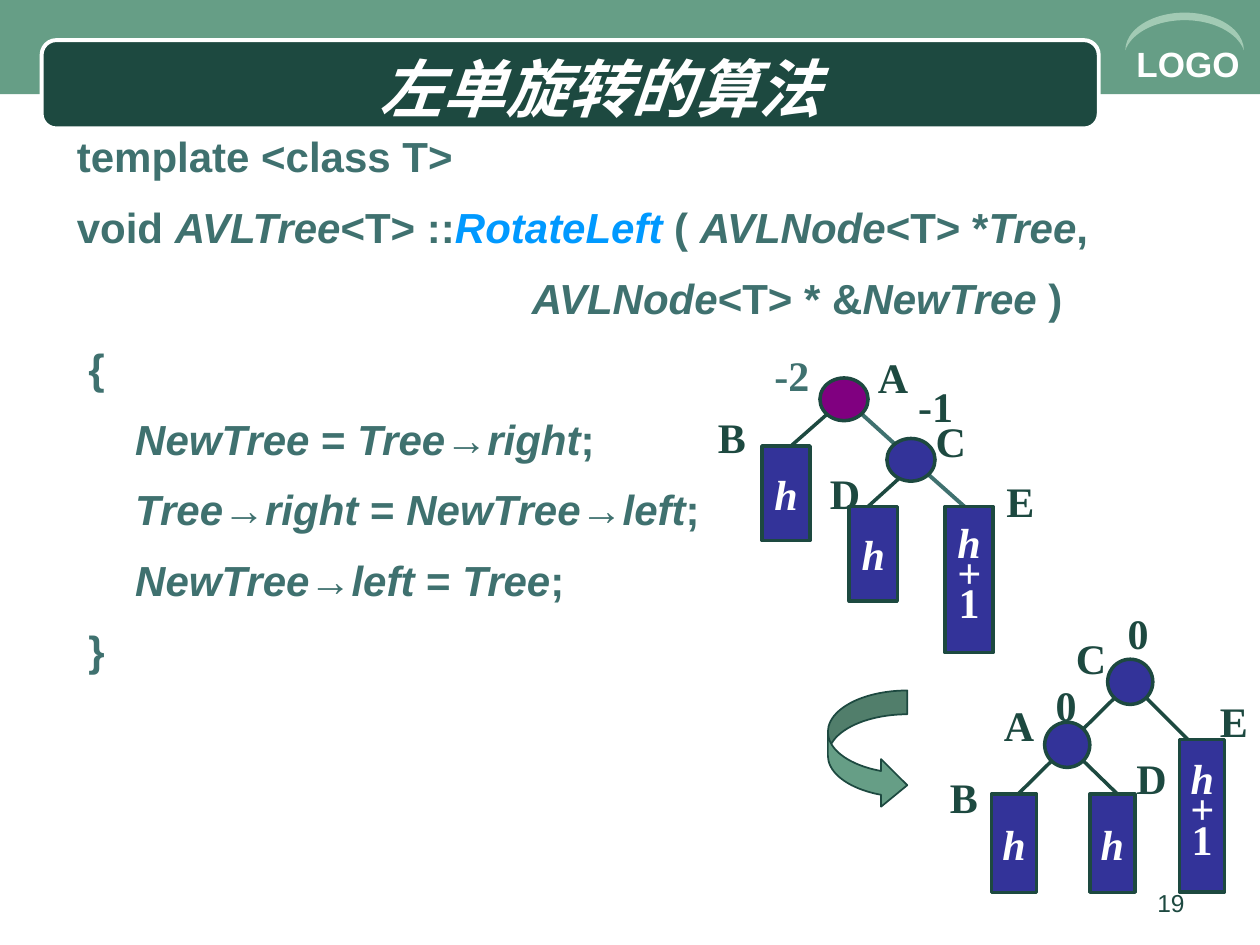
import pptx
import pptx.util
import pptx.dml.color
import pptx.enum.shapes
import pptx.enum.text
import pptx.oxml.ns
import lxml.etree

Cm = pptx.util.Cm
Pt = pptx.util.Pt
SHAPE = pptx.enum.shapes.MSO_SHAPE
ALIGN = pptx.enum.text.PP_ALIGN
ANCHOR = pptx.enum.text.MSO_ANCHOR

COLOURS = {
    "band": "669E86", "dark": "1D4940", "teal": "3F716F", "white": "FFFFFF",
    "crescent": "A2CAB4", "blue": "0099FF", "node": "333399", "root": "800080",
}
SERIF = "Times New Roman"
LABEL_WIDTHS = {"A": 1.12, "B": 1.07, "C": 1.12, "D": 1.12, "E": 1.07,
                "0": 0.91, "-1": 1.22, "-2": 1.22}

# Code lines: every second piece between bars is italic
CODE = [
    "template <class T>",
    "void |AVLTree|<T> ::|RotateLeft |( |AVLNode|<T> *|Tree|,",
    "                                       |AVLNode|<T> * &|NewTree| )",
    " {",
    "     |NewTree| = |Tree|→|right|;",
    "     |Tree|→|right| = |NewTree|→|left|;",
    "     |NewTree|→|left| = |Tree|;",
    " }",
]

# Tree parts in cm from the tree's own corner
BEFORE = {
    "node_size": (0.97, 0.86),
    "edges": [(4.24, 2.41, 5.41, 3.45, "teal"), (4.24, 2.41, 3.28, 3.28, "dark"),
              (2.51, 1.37, 1.52, 2.24, "dark"), (2.9, 1.19, 4.06, 2.24, "teal")],
    "nodes": [(3.66, 1.91, "node"), (2.31, 0.69, "root")],
    "subtrees": [(2.9, 3.28, 1.91, "h"), (1.14, 2.06, 1.91, "h"),
                 (4.83, 3.28, 2.95, "h+1")],
    "labels": [("B", 0, 1.24, "dark"), ("A", 3.23, 0.03, "dark"),
               ("C", 4.39, 1.32, "dark"), ("E", 5.82, 2.54, "dark"),
               ("D", 2.26, 2.36, "dark"), ("-2", 1.14, 0, "teal"),
               ("-1", 4.04, 0.61, "dark")],
}
AFTER = {
    "node_size": (0.91, 0.91),
    "edges": [(3.99, 1.73, 5.05, 2.79, "dark"), (3.61, 1.91, 2.72, 2.79, "dark"),
              (2.34, 3.18, 1.45, 4.06, "dark"), (2.9, 3.18, 3.99, 4.24, "dark")],
    "nodes": [(2.16, 2.44, "node"), (3.43, 1.17, "node")],
    "subtrees": [(1.09, 3.89, 1.98, "h"), (3.07, 3.89, 1.98, "h"),
                 (4.88, 2.79, 3.07, "h+1")],
    "labels": [("C", 2.54, 0.51, "dark"), ("E", 5.44, 1.78, "dark"),
               ("A", 1.09, 1.85, "dark"), ("B", 0, 3.3, "dark"),
               ("D", 3.76, 2.92, "dark"), ("0", 2.13, 1.45, "dark"),
               ("0", 3.58, 0, "dark")],
}


def rgb(name):
    return pptx.dml.color.RGBColor.from_string(COLOURS[name])


def add_span(para, text, size, colour, font="Arial", bold=True, italic=False):
    span = para.add_run()
    span.text = text
    span.font.name, span.font.size = font, Pt(size)
    span.font.bold, span.font.italic = bold, italic
    span.font.color.rgb = rgb(colour)
    return span


def add_text_box(shapes, left, top, width, height, wrap=True):
    box = shapes.add_textbox(Cm(left), Cm(top), Cm(width), Cm(height))
    box.text_frame.word_wrap = wrap
    return box.text_frame


def add_shape(shapes, kind, left, top, width, height, fill, line=None, weight=2):
    shape = shapes.add_shape(kind, Cm(left), Cm(top), Cm(width), Cm(height))
    shape.shadow.inherit = False
    shape.fill.solid()
    shape.fill.fore_color.rgb = rgb(fill)
    if line:
        shape.line.color.rgb = rgb(line)
        shape.line.width = Pt(weight)
    else:
        shape.line.fill.background()
    return shape


def add_edge(shapes, x1, y1, x2, y2, colour):
    edge = shapes.add_connector(pptx.enum.shapes.MSO_CONNECTOR.STRAIGHT,
                                Cm(x1), Cm(y1), Cm(x2), Cm(y2))
    edge.line.color.rgb = rgb(colour)
    edge.line.width = Pt(2.25 if colour == "teal" else 2)
    lxml.etree.SubElement(edge._element.spPr, pptx.oxml.ns.qn("a:effectLst"))


def add_header(page, left, top, width):
    shapes = page.shapes
    add_shape(shapes, SHAPE.RECTANGLE, left, top, width, 1.9, "band")
    add_shape(shapes, SHAPE.ROUNDED_RECTANGLE, left + 0.84, top + 0.81, 21.31, 1.78,
              "dark", "white", 2.25)
    # Corner mark
    frame = add_text_box(shapes, left + 22.66, top + 0.74, 2.74, 1.12)
    add_span(frame.paragraphs[0], "LOGO", 20, "white")
    crescent = add_shape(shapes, SHAPE.MOON, left + 23.5, top - 0.56, 0.76, 2.39,
                         "crescent")
    crescent.rotation = 90
    crescent.adjustments[0] = 0.2
    # Title
    frame = add_text_box(shapes, left + 1.3, top + 0.53, 21.59, 2.46)
    frame.vertical_anchor = ANCHOR.MIDDLE
    para = frame.paragraphs[0]
    para.alignment = ALIGN.CENTER
    font = "Noto Sans CJK JP"
    span = add_span(para, "左单旋转的算法", 36, "white", font, italic=True)
    east_asian = lxml.etree.SubElement(span.font._element, pptx.oxml.ns.qn("a:ea"))
    east_asian.set("typeface", font)


def add_code(page, left, top, width, height):
    frame = add_text_box(page.shapes, left, top, width, height)
    for index, line in enumerate(CODE):
        para = frame.add_paragraph() if index else frame.paragraphs[0]
        para.line_spacing = 1.4
        for order, piece in enumerate(line.split("|")):
            colour = "blue" if piece.startswith("RotateLeft") else "teal"
            add_span(para, piece, 24, colour, italic=order % 2 == 1)


def add_subtree(shapes, left, top, width, height, text):
    block = add_shape(shapes, SHAPE.RECTANGLE, left, top, width, height, "node", "dark")
    frame = block.text_frame
    frame.word_wrap = False
    frame.vertical_anchor = ANCHOR.MIDDLE
    for index, letter in enumerate(text):
        para = frame.add_paragraph() if index else frame.paragraphs[0]
        para.alignment = ALIGN.CENTER
        if len(text) > 1:
            para.line_spacing = 0.6
        add_span(para, letter, 24, "white", SERIF, italic=letter != "1")


def add_tree(page, left, top, tree):
    shapes = page.shapes.add_group_shape().shapes
    node_width, node_height = tree["node_size"]
    for x1, y1, x2, y2, colour in tree["edges"]:
        add_edge(shapes, left + x1, top + y1, left + x2, top + y2, colour)
    for x, y, fill in tree["nodes"]:
        add_shape(shapes, SHAPE.OVAL, left + x, top + y, node_width, node_height,
                  fill, "dark")
    for x, y, height, text in tree["subtrees"]:
        add_subtree(shapes, left + x, top + y, node_width, height, text)
    for text, x, y, colour in tree["labels"]:
        frame = add_text_box(shapes, left + x, top + y, LABEL_WIDTHS[text], 1.27, False)
        add_span(frame.paragraphs[0], text, 24, colour, SERIF)


def add_rotation_arrow(page, left, top, width, height):
    arrow = add_shape(page.shapes, SHAPE.CURVED_RIGHT_ARROW, left, top, width, height,
                      "band", "dark", 1)
    for index, value in enumerate((0.3, 0.6, 0.33)):
        arrow.adjustments[index] = value


def add_page_number(page, left, top, width, height):
    para = add_text_box(page.shapes, left, top, width, height).paragraphs[0]
    para.alignment = ALIGN.RIGHT
    add_span(para, "19", 14, "dark", bold=False)


def main():
    deck = pptx.Presentation()
    deck.slide_width, deck.slide_height = Cm(25.4), Cm(19.05)
    page = deck.slides.add_slide(deck.slide_layouts[6])
    add_header(page, 0, 0, 25.4)
    add_code(page, 1.3, 2.11, 22.4, 11.63)
    add_tree(page, 18.9, 12.12, AFTER)
    add_tree(page, 14.22, 6.93, BEFORE)
    add_rotation_arrow(page, 16.69, 13.92, 1.6, 2.39)
    add_page_number(page, 18.21, 17.78, 5.92, 0.89)
    deck.save("out.pptx")


if __name__ == "__main__":
    main()
